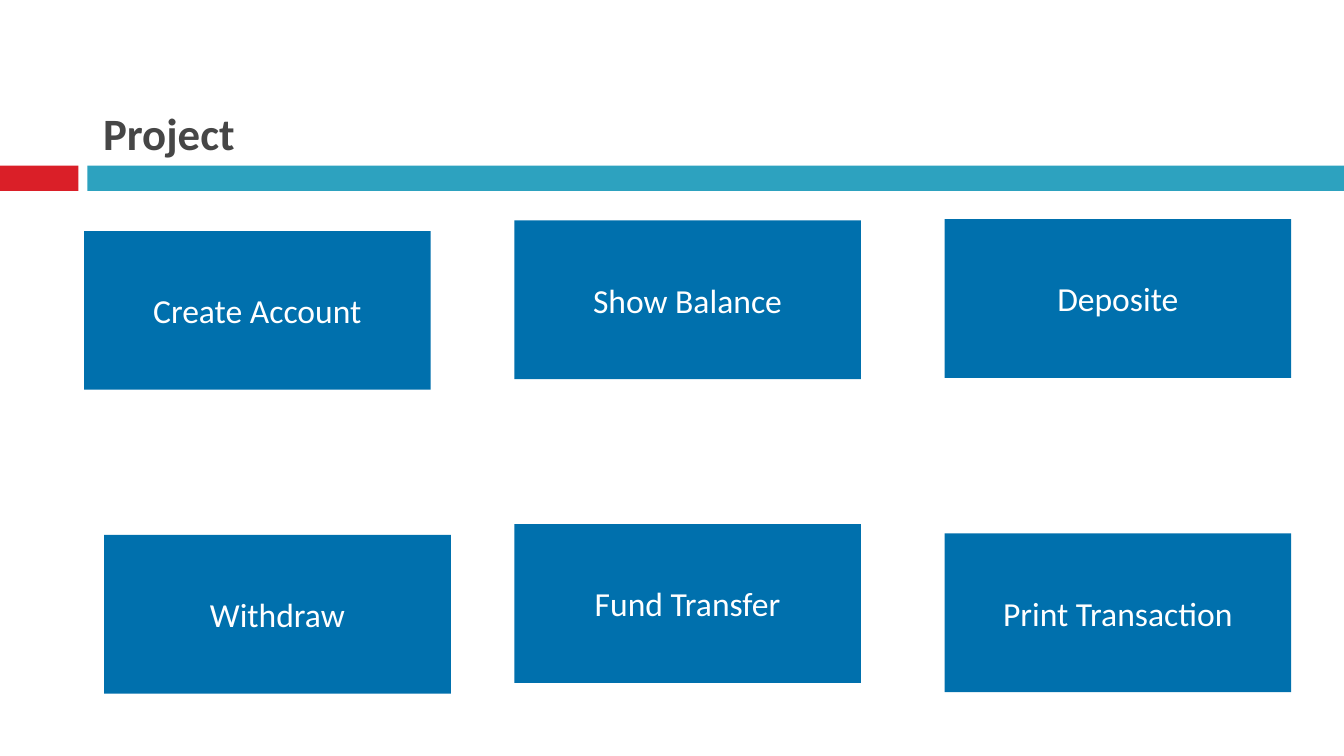
from pptx import Presentation
from pptx.dml.color import RGBColor
from pptx.enum import shapes, text
from pptx.util import Pt

COLORS = {"red": "DA1F28", "teal": "2DA2BF", "blue": "0070AD",
          "title": "464646", "white": "FFFFFF"}
FEATURES = [
    [("Create Account", 0, 6.4), ("Show Balance", 0, 0.7), ("Deposite", 0, 0)],
    [("Withdraw", 10.8, 5.8), ("Fund Transfer", 0, 0), ("Print Transaction", 0, 5)],
]


def rgb(name):
    return RGBColor.from_string(COLORS[name])


def add_rect(s, box, color):
    sp = s.shapes.add_shape(shapes.MSO_SHAPE.RECTANGLE, *map(Pt, box))
    sp.shadow.inherit = False
    sp.fill.solid()
    sp.fill.fore_color.rgb = rgb(color)
    sp.line.fill.background()
    return sp


def write(sp, words, color, align, anchor, **fmt):
    tf = sp.text_frame
    tf.word_wrap = True
    tf.auto_size = text.MSO_AUTO_SIZE.NONE
    tf.vertical_anchor = anchor
    p = tf.paragraphs[0]
    p.alignment = align
    r = p.add_run()
    r.text = words
    r.font.color.rgb = rgb(color)
    for key, value in {"name": "Calibri", **fmt}.items():
        setattr(r.font, key, value)


def add_title(s, box, words):
    sp = s.shapes.title
    for key, value in zip(("left", "top", "width", "height"), box):
        setattr(sp, key, Pt(value))
    write(sp, words, "title", text.PP_ALIGN.LEFT, text.MSO_ANCHOR.BOTTOM,
          size=Pt(24), bold=True)


def add_band(s, box, red_width=42, gap=4.8):
    x, y, w, h = box
    add_rect(s, (x, y, red_width, h), "red")
    offset = red_width + gap
    add_rect(s, (x + offset, y, w - offset, h), "teal")


def add_features(s, box, rows, card_w=185.7, card_h=85):
    x, y, w, h = box
    step_x = (w - card_w) / (len(rows[0]) - 1)
    row_y = (0, 163.4)
    for top, row in zip(row_y, rows):
        for col, (words, dx, dy) in enumerate(row):
            sp = add_rect(s, (x + col * step_x + dx, y + top + dy,
                              card_w, card_h), "blue")
            write(sp, words, "white", text.PP_ALIGN.CENTER,
                  text.MSO_ANCHOR.MIDDLE, size=Pt(18), bold=False)


def main():
    prs = Presentation()
    prs.slide_width, prs.slide_height = Pt(720), Pt(405)
    s = prs.slides.add_slide(prs.slide_layouts[5])
    add_band(s, (0, 88.8, 720, 13.5))
    add_title(s, (48, 9.6, 672, 79.2), "Project")
    add_features(s, (45, 117.4, 646.7, 254.2), FEATURES)
    prs.save("out.pptx")


if __name__ == "__main__":
    main()
